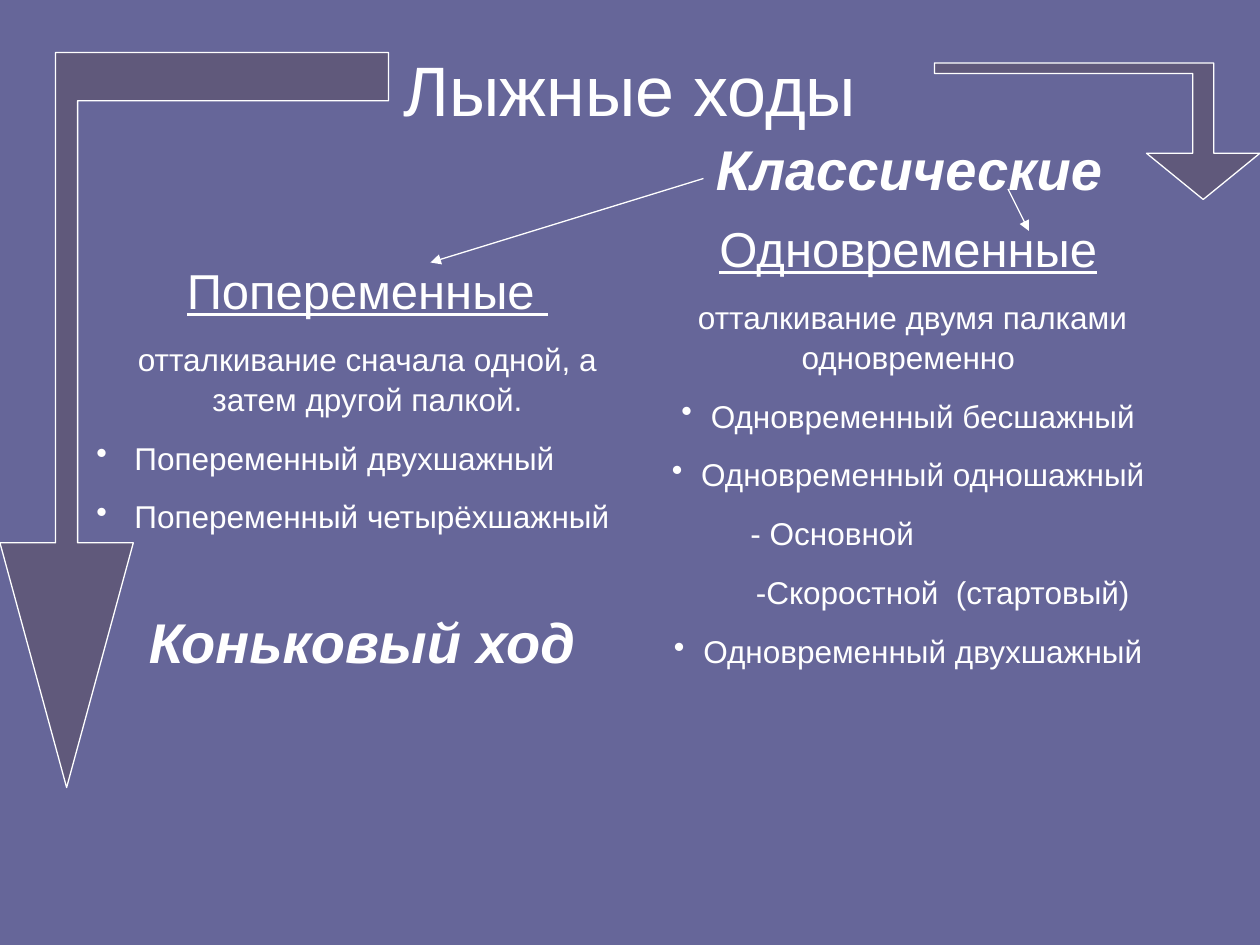
import pptx
import pptx.util
import pptx.dml.color
import pptx.enum.text
import pptx.enum.shapes
import pptx.oxml
import pptx.oxml.ns

COLS, ROWS = 120, 90
WIDTH, HEIGHT = pptx.util.Inches(10), pptx.util.Inches(7.5)
HUES = {"back": "666699", "ink": "FFFFFF", "arrow": "60597B"}
FONT = "Arial"
ALIGN = pptx.enum.text.PP_ALIGN
ANCHOR = pptx.enum.text.MSO_ANCHOR


def col(n):
    return round(WIDTH * n / COLS)


def row(n):
    return round(HEIGHT * n / ROWS)


def hue(name):
    return pptx.dml.color.RGBColor.from_string(HUES[name])


def add_tag(node, tag, **attrs):
    child = pptx.oxml.ns.qn(tag)
    return node.makeelement(child, attrs)


def add_box(slide, left, top, wide, high, anchor=ANCHOR.TOP):
    box = slide.shapes.add_textbox(col(left), row(top), col(wide), row(high))
    frame = box.text_frame
    frame.word_wrap = True
    frame.vertical_anchor = anchor
    return frame


def add_line(frame, text, size, align=ALIGN.LEFT, before=0, inset=0,
             bullet=False, **style):
    first = frame.paragraphs[0]
    para = frame.add_paragraph() if first.runs else first
    para.alignment = align
    para.space_before = pptx.util.Pt(before)
    para.line_spacing = 1.04
    props = para._p.get_or_add_pPr()
    props.set("marL", str(col(inset)))
    props.set("indent", str(-col(inset) if bullet else 0))
    if bullet:
        props.append(add_tag(props, "a:buChar", char="•"))
    run = para.add_run()
    run.text = text
    font = run.font
    font.name, font.size = FONT, pptx.util.Pt(size)
    font.color.rgb = hue("ink")
    for key, value in style.items():
        setattr(font, key, value)


def add_list(slide, place, head, lines):
    frame = add_box(slide, *place)
    add_line(frame, head, 28, ALIGN.CENTER, 17.5, underline=True)
    for text, align, inset, bullet in lines:
        add_line(frame, text, 18, align, 11.2, inset, bullet)


def add_style(slide, place, text):
    add_line(add_box(slide, *place), text, 32, before=20, bold=True, italic=True)


def set_line(line):
    line.color.rgb = hue("ink")
    line.width = pptx.util.Pt(0.75)


def add_link(slide, start, end):
    kind = pptx.enum.shapes.MSO_CONNECTOR.STRAIGHT
    link = slide.shapes.add_connector(
        kind, col(start[0]), row(start[1]), col(end[0]), row(end[1]))
    set_line(link.line)
    link.line._get_or_add_ln().append(
        add_tag(link._element, "a:tailEnd", type="triangle"))
    props = link._element.spPr
    props.append(add_tag(props, "a:effectLst"))


def add_bend(slide, end, shaft, head, bar, neck, tip):
    inner, outer = shaft
    near, far = head
    top, low = bar
    points = [((near + far) / 2, tip), (near, neck), (inner, neck),
              (inner, low), (end, low), (end, top), (outer, top),
              (outer, neck), (far, neck)]
    spots = [(col(x), row(y)) for x, y in points]
    path = slide.shapes.build_freeform(*spots[0])
    path.add_line_segments(spots[1:], close=True)
    shape = path.convert_to_shape()
    shape.shadow.inherit = False
    shape.fill.solid()
    shape.fill.fore_color.rgb = hue("arrow")
    set_line(shape.line)


def main():
    deck = pptx.Presentation()
    deck.slide_width, deck.slide_height = WIDTH, HEIGHT
    slide = deck.slides.add_slide(deck.slide_layouts[6])
    fill = slide.background.fill
    fill.solid()
    fill.fore_color.rgb = hue("back")

    title = add_box(slide, 6, 3.6, 108, 9.4, ANCHOR.MIDDLE)
    add_line(title, "Лыжные ходы", 40, ALIGN.CENTER)

    mid, left = ALIGN.CENTER, ALIGN.LEFT
    add_list(slide, (8, 24, 54, 26.9), "Попеременные ", [
        ("отталкивание сначала одной, а затем другой палкой.", mid, 0, False),
        (" Попеременный двухшажный", left, 2.8, True),
        (" Попеременный четырёхшажный", left, 2.8, True)])
    add_list(slide, (62, 20, 49, 54.2), "Одновременные", [
        (" отталкивание двумя палками одновременно", mid, 0, False),
        ("Одновременный бесшажный", mid, 2.8, True),
        ("Одновременный одношажный", mid, 2.8, True),
        ("- Основной", left, 8.3, False),
        ("-Скоростной  (стартовый)", mid, 6.6, False),
        ("Одновременный двухшажный", mid, 2.8, True)])
    add_style(slide, (67, 12, 43, 7.7), "Классические")
    add_link(slide, (67, 17), (41, 25))
    add_link(slide, (96, 18), (98, 22))
    add_style(slide, (13, 57, 44, 7.7), "Коньковый ход")
    add_bend(slide, 37, (7.4, 5.3), (12.7, 0), (5, 9.6), 51.7, 75)
    add_bend(slide, 89, (113.6, 115.6), (109.2, 120), (6, 7), 14.6, 19)
    deck.save("out.pptx")


if __name__ == "__main__":
    main()
